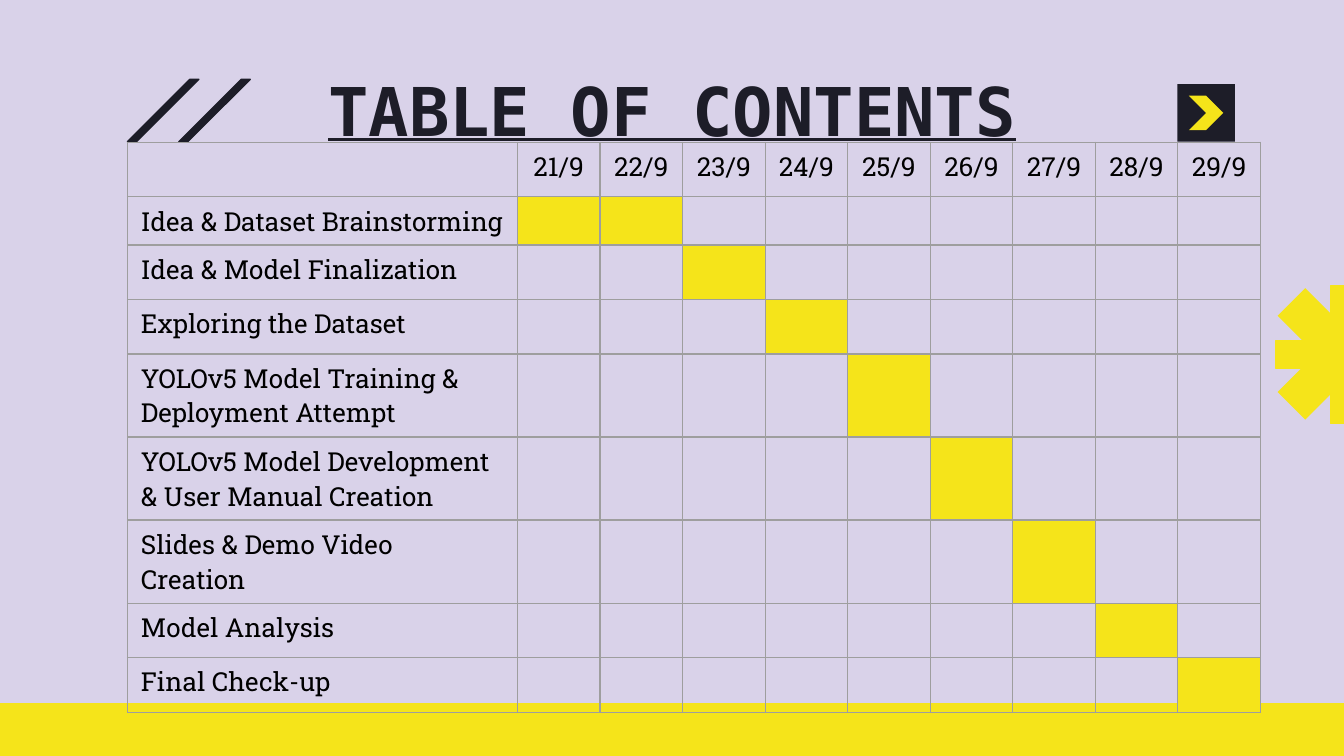
import pptx
import pptx.dml.color
import pptx.enum.shapes
import pptx.enum.text
import pptx.oxml
import pptx.oxml.ns
import pptx.util

Cm = pptx.util.Cm
Pt = pptx.util.Pt
SHAPE = pptx.enum.shapes.MSO_SHAPE
CENTER = pptx.enum.text.PP_ALIGN.CENTER

LILAC = "D9D2E9"
YELLOW = "F5E41A"
INK = "1D1D28"
BLACK = "000000"
GRID = "9E9E9E"
TITLE_FONT = "DejaVu Sans Mono"
BODY_FONT = "Roboto Slab"

DATES = [f"{day}/9" for day in range(21, 30)]
TASKS = [
    ("Idea & Dataset Brainstorming", 0.91, (1, 2)),
    ("Idea & Model Finalization", 1.03, (3,)),
    ("Exploring the Dataset", 1.03, (4,)),
    ("YOLOv5 Model Training & Deployment Attempt", 1.57, (5,)),
    ("YOLOv5 Model Development & User Manual Creation", 1.57, (6,)),
    ("Slides & Demo Video Creation", 1.57, (7,)),
    ("Model Analysis", 1.03, (8,)),
    ("Final Check-up", 1.03, (9,)),
]


def color(value):
    return pptx.dml.color.RGBColor.from_string(value)


class Deck:
    def __init__(self, width, height):
        self.presentation = pptx.Presentation()
        self.presentation.slide_width = Cm(width)
        self.presentation.slide_height = Cm(height)
        self.slide = None

    def add_slide(self, background):
        self.slide = self.presentation.slides.add_slide(self.presentation.slide_layouts[5])
        self.slide.background.fill.solid()
        self.slide.background.fill.fore_color.rgb = color(background)

    def style(self, paragraph, font, size, ink):
        paragraph.font.name = font
        paragraph.font.size = Pt(size)
        paragraph.font.color.rgb = color(ink)

    def title(self, text, left, top, width, height):
        heading = self.slide.shapes.title
        heading.left, heading.top = Cm(left), Cm(top)
        heading.width, heading.height = Cm(width), Cm(height)
        frame = heading.text_frame
        frame.text = text
        frame.word_wrap = True
        frame.auto_size = pptx.enum.text.MSO_AUTO_SIZE.NONE
        frame.vertical_anchor = pptx.enum.text.MSO_ANCHOR.BOTTOM
        frame.margin_left = frame.margin_right = Cm(0.25)
        frame.margin_top = frame.margin_bottom = Cm(0.25)
        paragraph = frame.paragraphs[0]
        paragraph.alignment = CENTER
        self.style(paragraph, TITLE_FONT, 36, INK)
        paragraph.font.bold = True
        paragraph.font.underline = True

    def shape(self, preset, left, top, width, height, fill, adjust=None, outlined=False):
        figure = self.slide.shapes.add_shape(preset, Cm(left), Cm(top), Cm(width), Cm(height))
        figure.shadow.inherit = False
        figure.fill.solid()
        figure.fill.fore_color.rgb = color(fill)
        if outlined:
            figure.line.color.rgb = color(fill)
            figure.line.width = Pt(0.75)
        else:
            figure.line.fill.background()
        if adjust is not None:
            figure.adjustments[0] = adjust

    def cell(self, cell, text="", fill=None, alignment=None):
        properties = cell._tc.get_or_add_tcPr()
        for side in ("lnL", "lnR", "lnT", "lnB"):
            properties.append(pptx.oxml.parse_xml(
                f'<a:{side} {pptx.oxml.ns.nsdecls("a")} w="9525"><a:solidFill>'
                f'<a:srgbClr val="{GRID}"/></a:solidFill></a:{side}>'))
        if fill:
            cell.fill.solid()
            cell.fill.fore_color.rgb = color(fill)
        else:
            cell.fill.background()
        if text:
            cell.text = text
        else:
            cell.margin_top = cell.margin_bottom = 0
        paragraph = cell.text_frame.paragraphs[0]
        paragraph.alignment = alignment
        self.style(paragraph, BODY_FONT, 14, BLACK)

    def schedule(self, left, top, task_width, date_width, header_height):
        heights = [header_height] + [height for _, height, _ in TASKS]
        widths = [task_width] + [date_width] * len(DATES)
        table = self.slide.shapes.add_table(
            len(heights), len(widths), Cm(left), Cm(top), Cm(sum(widths)), Cm(sum(heights))).table
        table.first_row = False
        table.horz_banding = False
        for column, width in zip(table.columns, widths):
            column.width = Cm(width)
        for row, height in zip(table.rows, heights):
            row.height = Cm(height)
        for column, date in enumerate([""] + DATES):
            self.cell(table.cell(0, column), date, alignment=CENTER)
        for row, (task, _, days) in enumerate(TASKS, 1):
            self.cell(table.cell(row, 0), task)
            for day in range(1, len(widths)):
                self.cell(table.cell(row, day), fill=YELLOW if day in days else None)

    def save(self):
        self.presentation.save("out.pptx")


def main():
    deck = Deck(25.4, 14.29)
    deck.add_slide(LILAC)
    deck.shape(SHAPE.MATH_MULTIPLY, 23.5, 4.8, 3.78, 3.78, YELLOW, 0.195)
    deck.shape(SHAPE.MATH_PLUS, 23.64, 4.94, 3.53, 3.53, YELLOW, 0.144, outlined=True)
    deck.shape(SHAPE.RECTANGLE, 0, 13.29, 25.4, 1, YELLOW)
    deck.title("TABLE OF CONTENTS", 1.98, 1.02, 21.44, 2.06)
    deck.shape(SHAPE.RECTANGLE, 22.25, 1.59, 1.09, 1.09, INK)
    deck.shape(SHAPE.CHEVRON, 22.47, 1.81, 0.65, 0.65, YELLOW, 0.5)
    for slash_left in (2.41, 3.38):
        deck.shape(SHAPE.PARALLELOGRAM, slash_left, 1.5, 1.35, 1.18, INK, 1, outlined=True)
    deck.schedule(2.41, 2.69, 7.37, 1.56, 1.03)
    deck.save()


if __name__ == "__main__":
    main()
